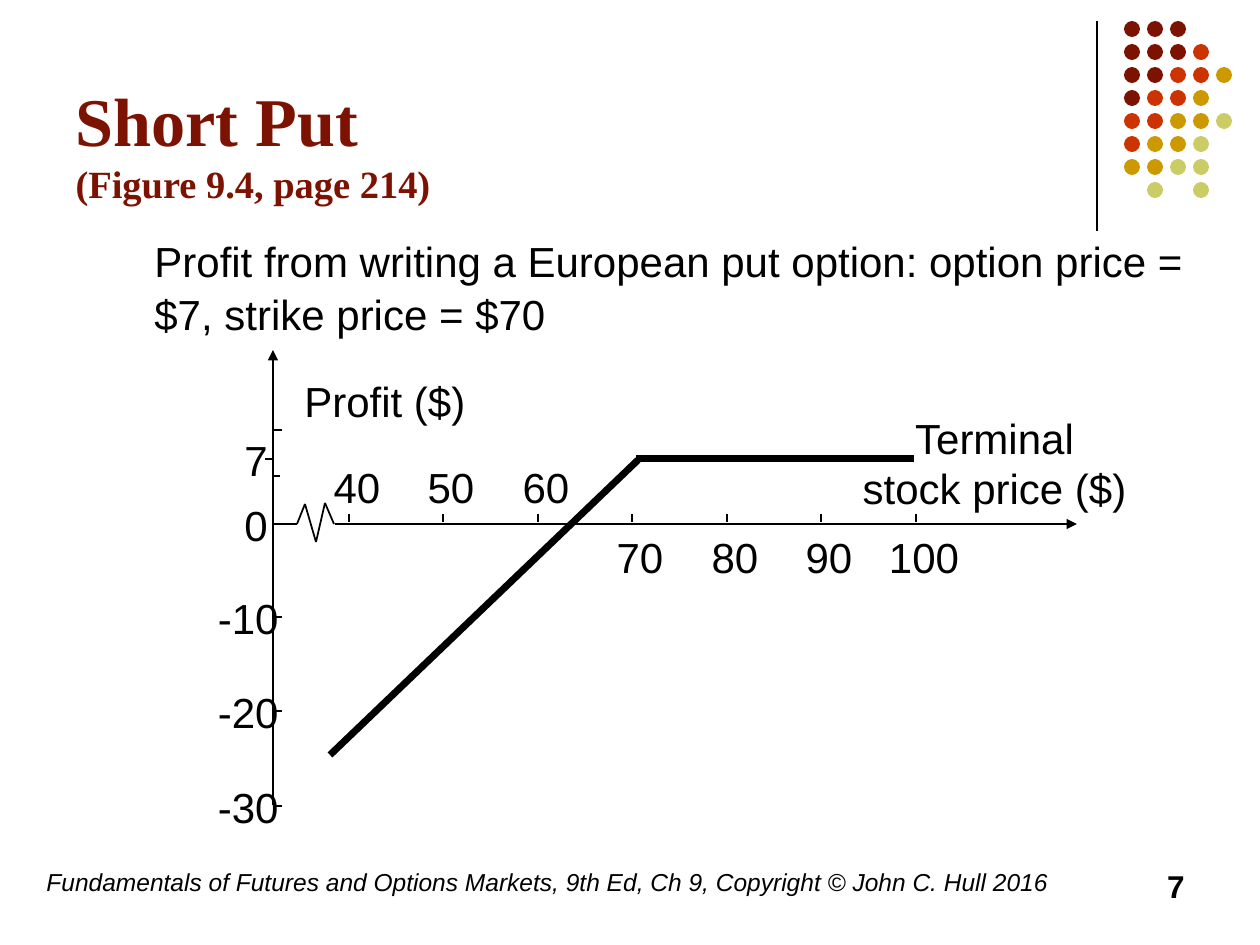
"""Build the Short Put slide: a payoff diagram with its heading and footer."""
from dataclasses import dataclass
from itertools import pairwise

from lxml import etree
from pptx import Presentation
from pptx import util as u
from pptx.dml.color import RGBColor
from pptx.enum import shapes, text
from pptx.oxml.ns import qn

PX = 914400 / 126
LEFT, MID, RIGHT = text.PP_ALIGN.LEFT, text.PP_ALIGN.CENTER, text.PP_ALIGN.RIGHT


def emu(*px):
    return [u.Emu(round(n * PX)) for n in px]


@dataclass(frozen=True)
class Theme:
    ink: str = "000000"
    red: str = "7C1302"
    dots: tuple = ("7C1302", "CC3300", "CC9900", "CCCC66")
    sans: str = "Arial"
    serif: str = "Times New Roman"
    head: float = 39
    sub: float = 22
    main: float = 24
    page: float = 18
    foot: float = 14
    hair: float = 0.75
    thin: float = 1
    thick: float = 4


def write(para, words, size, font, color, bold=False, italic=False):
    run = para.add_run()
    run.text = words
    run.font.size = u.Pt(size)
    run.font.name = font
    run.font.bold = bold
    run.font.italic = italic
    run.font.color.rgb = RGBColor.from_string(color)


class Deck:
    def __init__(self, theme):
        self.t = theme
        self.prs = Presentation()
        self.prs.slide_width, self.prs.slide_height = emu(1260, 945)
        self.slide = self.prs.slides.add_slide(self.prs.slide_layouts[5])

    def title(self, head, sub, box):
        item = self.slide.shapes.title
        item.left, item.top, item.width, item.height = emu(*box)
        frame = item.text_frame
        frame.auto_size = text.MSO_AUTO_SIZE.NONE
        frame.vertical_anchor = text.MSO_ANCHOR.MIDDLE
        para = frame.paragraphs[0]
        para.alignment = LEFT
        write(para, head, self.t.head, self.t.serif, self.t.red, bold=True)
        para.add_line_break()
        write(para, sub, self.t.sub, self.t.serif, self.t.red, bold=True)

    def label(self, lines, box, size=None, align=LEFT, pitch=None, **style):
        frame = self.slide.shapes.add_textbox(*emu(*box)).text_frame
        frame.word_wrap = True
        for i, words in enumerate(lines.split("\n")):
            para = frame.add_paragraph() if i else frame.paragraphs[0]
            para.alignment = align
            if pitch:
                para.line_spacing = u.Pt(pitch)
            write(para, words, size or self.t.main, self.t.sans, self.t.ink, **style)

    def line(self, start, end, width=None, arrow=False):
        item = self.slide.shapes.add_connector(
            shapes.MSO_CONNECTOR.STRAIGHT, *emu(*start, *end))
        item.line.width = u.Pt(width or self.t.thin)
        item.line.color.rgb = RGBColor.from_string(self.t.ink)
        props = item._element.spPr
        etree.SubElement(props, qn("a:effectLst"))
        if arrow:
            etree.SubElement(props.find(qn("a:ln")), qn("a:tailEnd"), type="triangle")

    def dot(self, x, y, color):
        item = self.slide.shapes.add_shape(
            shapes.MSO_SHAPE.OVAL, *emu(x, y, 16, 16))
        item.shadow.inherit = False
        item.fill.solid()
        item.fill.fore_color.rgb = RGBColor.from_string(color)
        item.line.fill.background()


def frame(deck):
    t = deck.t
    deck.line((1097, 21), (1097, 231), t.hair)
    rows = ("000", "0001", "00112", "0112", "11223", "1223", "2233", " 3 3")
    for r, row in enumerate(rows):
        for c, key in enumerate(row):
            if key != " ":
                deck.dot(1124 + 23 * c, 21 + 23 * r, t.dots[int(key)])
    deck.title("Short Put ", "(Figure 9.4, page 214)", (63, 32, 1144, 220))
    deck.label("Fundamentals of Futures and Options Markets, 9th Ed, Ch 9, "
               "Copyright © John C. Hull 2016",
               (34, 861, 1042, 63), t.foot, italic=True)
    deck.label("7", (903, 861, 294, 63), t.page, RIGHT, bold=True)
    deck.label("Profit from writing a European put option: "
               "option price = $7, strike price = $70",
               (142, 227, 1079, 120), pitch=30.3)


def chart(deck):
    axis, zero, gain = 273, 524, 459
    deck.line((axis, 805), (axis, 350), arrow=True)
    deck.line((335, zero), (1077, zero), arrow=True)
    gap = ((272, 524), (297, 524), (305, 504), (316, 542), (325, 503), (334, 524))
    for start, end in pairwise(gap):
        deck.line(start, end)

    for i in range(7):
        x = 349 + 189 * i // 2
        deck.line((x, 514), (x, 522))
        top = 455 if i < 3 else 525
        deck.label(str(40 + 10 * i), (x - 42, top, 100, 63), align=MID)

    for y, end in ((430, 282), (476, 280), (gain, 265)):
        deck.line((axis, y), (end, y))
    for i in range(3):
        y = 617 + 189 * i // 2
        deck.line((axis, y), (282, y))
        deck.label(str(-10 - 10 * i), (191, y - 31, 100, 63), align=RIGHT)
    for words, y in (("7", gain), ("0", zero)):
        deck.label(words, (180, y - 31, 100, 63), align=RIGHT)

    deck.label("Profit ($)", (292, 369, 200, 63))
    deck.label("Terminal\nstock price ($)", (850, 406, 289, 113), align=MID)
    deck.line((636, gain), (914, gain), deck.t.thick)
    deck.line((638, gain + 1), (330, 755), deck.t.thick)


def main():
    deck = Deck(Theme())
    frame(deck)
    chart(deck)
    deck.prs.save("out.pptx")


if __name__ == "__main__":
    main()
